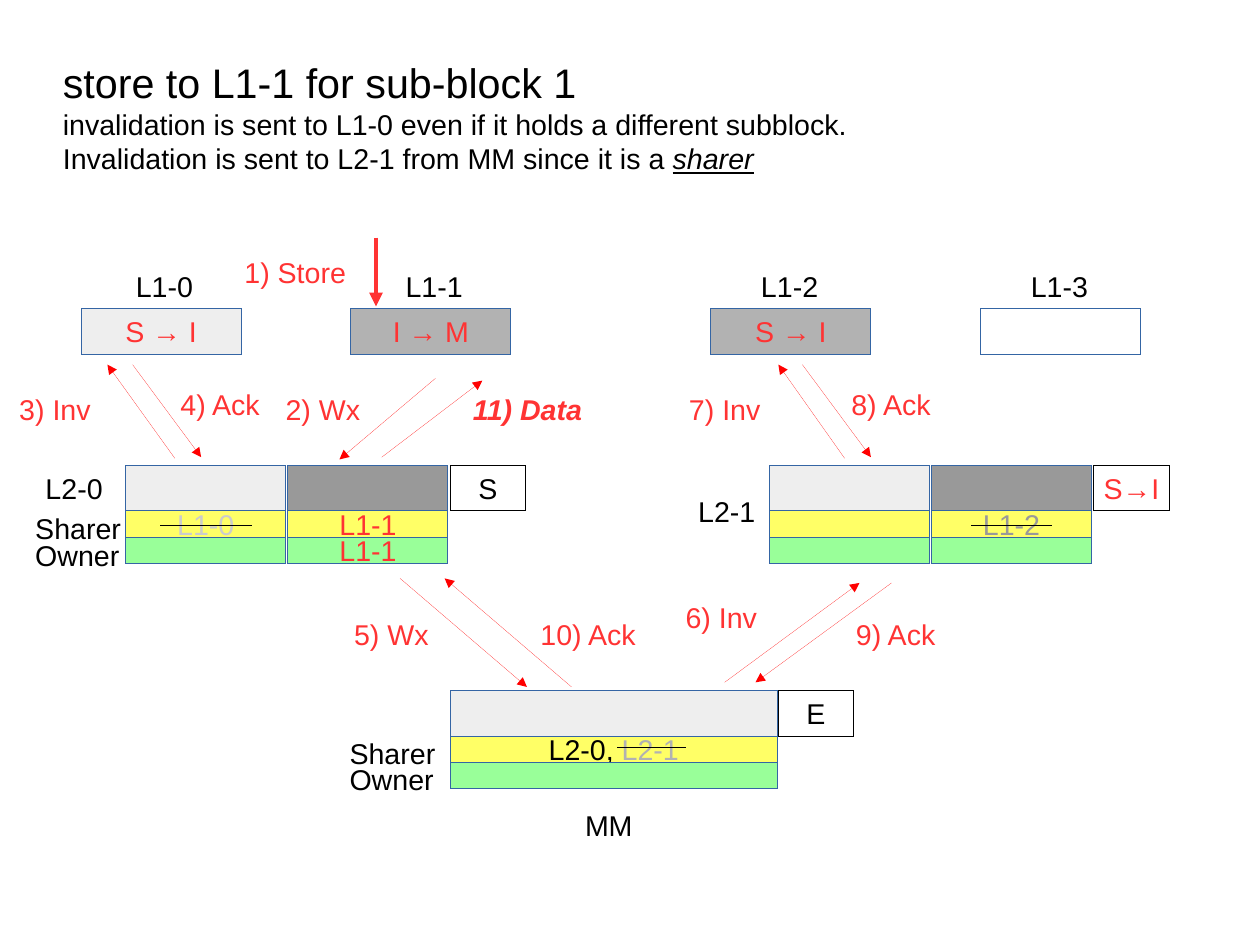
from lxml.etree import SubElement
from pptx import Presentation
from pptx.dml.color import RGBColor
from pptx.enum.shapes import MSO_CONNECTOR, MSO_SHAPE
from pptx.enum.text import MSO_ANCHOR, MSO_AUTO_SIZE, PP_ALIGN
from pptx.oxml.ns import qn
from pptx.util import Cm, Inches, Pt

COLORS = {
    "black": "000000", "white": "FFFFFF", "light": "EEEEEE", "medium": "B2B2B2",
    "dark": "999999", "faded": "CCCCCC", "yellow": "FFFF66", "green": "99FF99",
    "border": "3465A4", "red": "FF3333", "arrow": "FF0000",
}
FONT = "Arial"

# Content: title lines, the last one ending in an emphasised word
HEADING = "store to L1-1 for sub-block 1"
SUBHEADINGS = [
    "invalidation is sent to L1-0 even if it holds a different subblock. ",
    "Invalidation is sent to L2-1 from MM since it is a ",
]
EMPHASISED = "sharer"
# L1 caches: name, left, label offset, fill, state change
L1_CACHES = [
    ("L1-0", 0.71, 0.38, "light", "S → I"),
    ("L1-1", 3.07, 0.38, "medium", "I → M"),
    ("L1-2", 6.22, 0.34, "medium", "S → I"),
    ("L1-3", 8.58, 0.34, "white", ""),
]
# Directory columns: left, top, width, data fill, sharer runs, owner runs
DIRECTORY_COLUMNS = [
    (1.1, 4.07, 1.4, "light", [("L1-0", "faded")], []),
    (2.52, 4.07, 1.4, "dark", [("L1-1", "red")], [("L1-1", "red")]),
    (6.73, 4.07, 1.4, "light", [], []),
    (8.15, 4.07, 1.4, "dark", [("L1-2", "dark")], []),
    (3.94, 6.04, 2.86, "light", [("L2-0, ", "black"), ("L2-1", "medium")], []),
]
# State boxes: left, top, state, color
STATES = [
    (3.94, 4.07, "S", "black"),
    (9.57, 4.07, "S→I", "red"),
    (6.81, 6.04, "E", "black"),
]
# Labels: text, left, top, width
NODE_LABELS = [
    ("L2-0", 0.3, 4.07, 0.9), ("L2-1", 6.01, 4.27, 0.9), ("MM", 5.02, 7.02, 0.9),
]
ROW_LABELS = [
    ("Sharer", 0.21, 4.42, 0.95), ("Owner", 0.21, 4.66, 0.95),
    ("Sharer", 2.96, 6.39, 0.95), ("Owner", 2.96, 6.62, 0.95),
]
# Messages: text, label left, top, width, arrow start, arrow end
MESSAGES = [
    ("1) Store", 2.04, 2.18, 1.26, (3.29, 2.08), (3.29, 2.68)),
    ("2) Wx", 2.4, 3.38, 1.03, (3.81, 3.31), (2.97, 4.02)),
    ("3) Inv", 0.07, 3.38, 0.97, (1.53, 4.01), (0.94, 3.19)),
    ("4) Ack", 1.48, 3.34, 1.22, (1.16, 3.19), (1.76, 4)),
    ("5) Wx", 3, 5.35, 1.06, (3.5, 5.06), (4.61, 6.01)),
    ("6) Inv", 5.9, 5.2, 1.1, (6.34, 5.97), (7.52, 5.1)),
    ("7) Inv", 5.93, 3.38, 0.97, (7.39, 4.01), (6.81, 3.19)),
    ("8) Ack", 7.35, 3.34, 1.22, (7.02, 3.19), (7.62, 4)),
    ("9) Ack", 7.39, 5.35, 1.22, (7.8, 5.1), (6.61, 5.97)),
    ("10) Ack", 4.63, 5.35, 1.22, (5, 6.01), (3.89, 5.06)),
    ("11) Data", 4.04, 3.38, 1.26, (3.34, 4), (4.22, 3.33)),
]
# Strokes through removed sharers
STRIKES = [((1.4, 4.6), (2.2, 4.6)), ((8.5, 4.6), (9.2, 4.6)), ((6, 6.54), (5.4, 6.54))]

CELL_WIDTH, CELL_HEIGHT, ROW_HEIGHT, STATE_WIDTH = 1.4, 0.4, 0.23, 0.66
L1_TOP, L1_LABEL_TOP = 2.7, 2.3
LABEL_HEIGHT = 0.38


def color(name):
    return RGBColor.from_string(COLORS[name])


def set_font(font, name, size=18):
    font.name, font.size, font.color.rgb = FONT, Pt(size), color(name)


def set_line(line, name, width=0):
    """Color a line; a zero width must be written out to give a hairline."""
    line.color.rgb = color(name)
    outline = line._get_or_add_ln()
    outline.set("w", str(int(Pt(width))))
    return outline


def add_cell(slide, left, top, width, height, fill, runs=(), border="border"):
    shape = slide.shapes.add_shape(
        MSO_SHAPE.RECTANGLE, Inches(left), Inches(top), Inches(width), Inches(height))
    shape.shadow.inherit = False
    shape.fill.solid()
    shape.fill.fore_color.rgb = color(fill)
    set_line(shape.line, border)
    frame = shape.text_frame
    frame.word_wrap = False
    frame.vertical_anchor = MSO_ANCHOR.MIDDLE
    paragraph = frame.paragraphs[0]
    paragraph.alignment = PP_ALIGN.CENTER
    for text, name in runs:
        run = paragraph.add_run()
        run.text = text
        set_font(run.font, name)


def add_label(slide, text, left, top, width, name="black", wrap=True):
    box = slide.shapes.add_textbox(
        Inches(left), Inches(top), Inches(width), Inches(LABEL_HEIGHT))
    box.text_frame.word_wrap = wrap
    box.text_frame.auto_size = MSO_AUTO_SIZE.SHAPE_TO_FIT_TEXT
    paragraph = box.text_frame.paragraphs[0]
    paragraph.text = text
    set_font(paragraph.font, name)
    return paragraph


def add_line(slide, start, end, name, width=0, arrow=False):
    connector = slide.shapes.add_connector(
        MSO_CONNECTOR.STRAIGHT, *(Inches(value) for value in (*start, *end)))
    outline = set_line(connector.line, name, width)
    if arrow:
        SubElement(outline, qn("a:tailEnd"), type="triangle")
    SubElement(connector._element.spPr, qn("a:effectLst"))


def add_title(slide):
    title = slide.shapes.title
    title.left, title.top = Inches(0.55), Inches(0.33)
    title.width, title.height = Inches(9.92), Inches(1.38)
    frame = title.text_frame
    frame.margin_left = frame.margin_right = frame.margin_top = frame.margin_bottom = 0
    frame.vertical_anchor = MSO_ANCHOR.MIDDLE
    frame.word_wrap = True
    frame.auto_size = MSO_AUTO_SIZE.NONE
    paragraph = frame.paragraphs[0]
    paragraph.alignment = PP_ALIGN.LEFT
    set_font(paragraph.font, "black")
    heading = paragraph.add_run()
    heading.text = HEADING
    heading.font.size = Pt(26)
    for text in SUBHEADINGS:
        paragraph.add_line_break()
        paragraph.add_run().text = text
    emphasised = paragraph.add_run()
    emphasised.text = EMPHASISED
    emphasised.font.italic = emphasised.font.underline = True


def main():
    presentation = Presentation()
    presentation.slide_width, presentation.slide_height = Cm(28), Cm(21)
    slide = presentation.slides.add_slide(presentation.slide_layouts[5])
    add_title(slide)

    # L1 caches
    for name, left, offset, fill, state in L1_CACHES:
        runs = [(state, "red")] if state else []
        add_cell(slide, left, L1_TOP, CELL_WIDTH, CELL_HEIGHT, fill, runs)
        add_label(slide, name, left + offset, L1_LABEL_TOP, 0.9)

    # L2 and main memory: data, sharer and owner rows
    for left, top, width, fill, sharer, owner in DIRECTORY_COLUMNS:
        sharer_top = top + CELL_HEIGHT
        add_cell(slide, left, top, width, CELL_HEIGHT, fill)
        add_cell(slide, left, sharer_top, width, ROW_HEIGHT, "yellow", sharer)
        add_cell(slide, left, sharer_top + ROW_HEIGHT, width, ROW_HEIGHT, "green", owner)
    for left, top, state, name in STATES:
        add_cell(slide, left, top, STATE_WIDTH, CELL_HEIGHT, "white", [(state, name)], "black")

    # Node and row labels
    for label in NODE_LABELS:
        add_label(slide, *label)
    for label in ROW_LABELS:
        add_label(slide, *label, wrap=False)

    # Numbered messages: the store is a thick arrow, the final data is emphasised
    for index, (text, left, top, width, start, end) in enumerate(MESSAGES):
        is_store = index == 0
        add_line(slide, start, end, "red" if is_store else "arrow",
                 2.89 if is_store else 0, arrow=True)
        paragraph = add_label(slide, text, left, top, width, "red")
        if index == len(MESSAGES) - 1:
            paragraph.font.bold = paragraph.font.italic = True
    for start, end in STRIKES:
        add_line(slide, start, end, "black")

    presentation.save("out.pptx")


if __name__ == "__main__":
    main()
